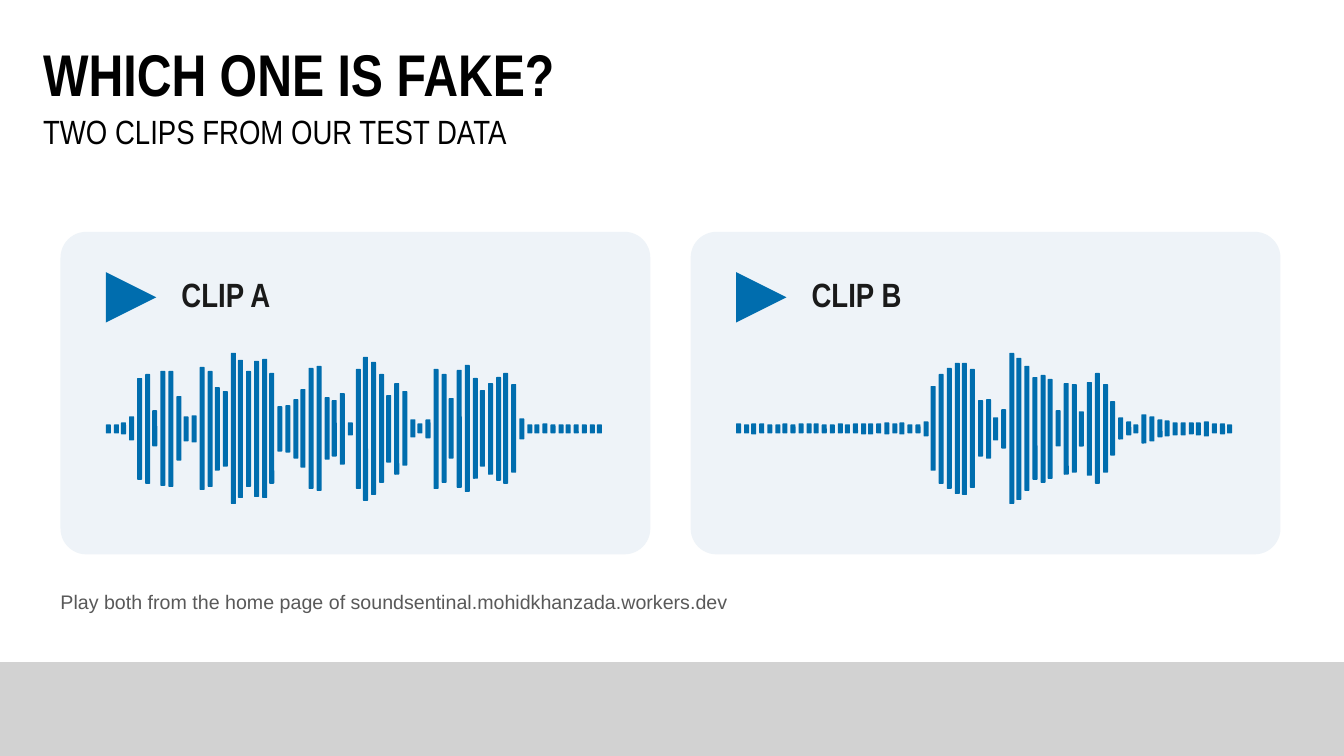
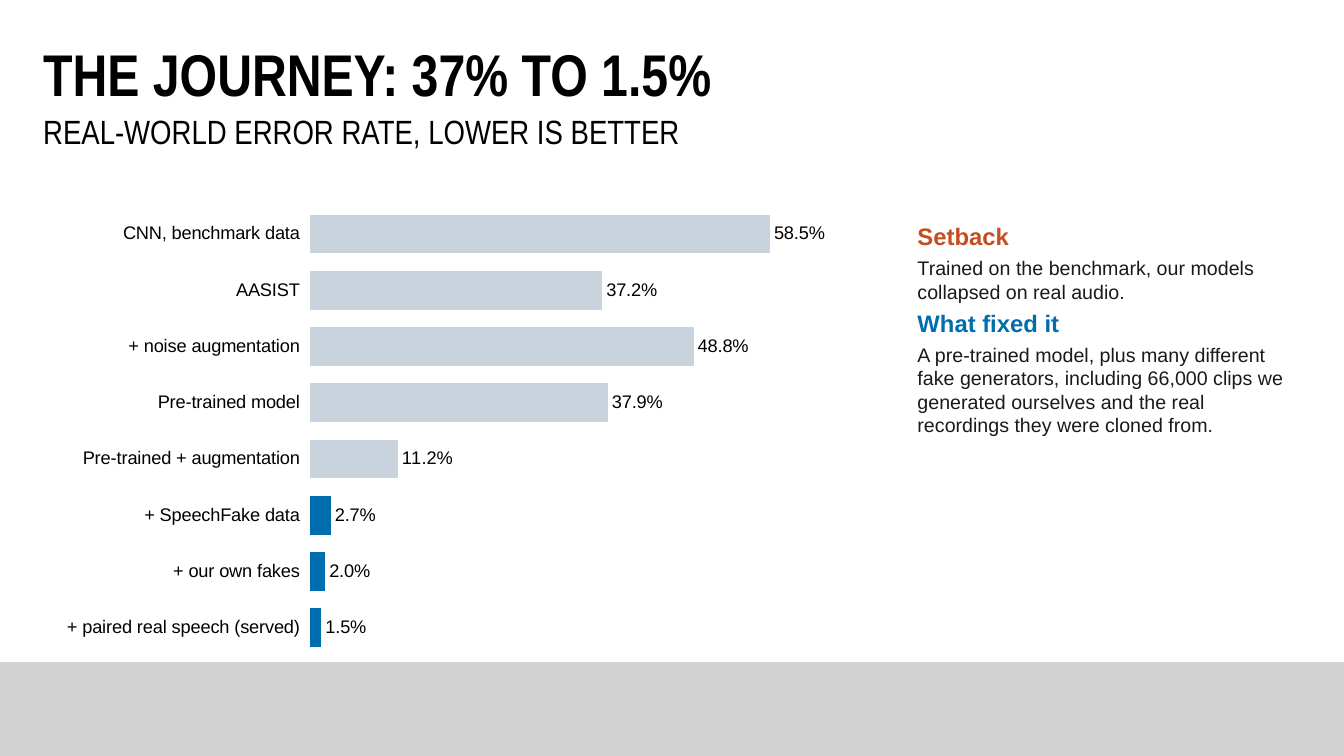
from dataclasses import dataclass

from pptx import Presentation
from pptx.chart.data import CategoryChartData
from pptx.dml.color import RGBColor
from pptx.enum.chart import XL_CHART_TYPE, XL_LABEL_POSITION, XL_TICK_MARK
from pptx.enum.shapes import MSO_SHAPE
from pptx.enum.text import MSO_ANCHOR
from pptx.util import Emu, Pt

RECT = MSO_SHAPE.RECTANGLE
ROUND = MSO_SHAPE.ROUNDED_RECTANGLE
TRIANGLE = MSO_SHAPE.ISOSCELES_TRIANGLE
BAR_CLUSTERED = XL_CHART_TYPE.BAR_CLUSTERED
OUTSIDE_END = XL_LABEL_POSITION.OUTSIDE_END
TICK_OUT = XL_TICK_MARK.OUTSIDE
TOP, MIDDLE = MSO_ANCHOR.TOP, MSO_ANCHOR.MIDDLE

# Shared look: 100 px to the inch
EMU_PER_PX = 9144
SLIDE_W, SLIDE_H = 1333, 750
SANS, NARROW = "Arial", "Arial Narrow"
BLACK, INK, GREY = "000000", "1A1A1A", "595959"
BLUE, ORANGE = "006DAE", "C44E1F"
BAND, CARD, MUTED = "D2D2D2", "EEF3F8", "C8D3DE"


@dataclass(frozen=True)
class Line:
    text: str
    size: int
    color: str
    bold: bool = False
    font: str = SANS
    after: int = 4
    spacing: float = 1.0


@dataclass(frozen=True)
class Clip:
    name: str
    x: int
    heights: tuple[int, ...]


@dataclass(frozen=True)
class Step:
    name: str
    error: float
    color: str = MUTED


CLIPS = (
    Clip("CLIP A", 60, (
        9, 9, 12, 24, 101, 109, 36, 114, 115, 64, 25, 27, 122, 115, 83, 75,
        150, 137, 115, 135, 138, 110, 45, 47, 59, 78, 120, 124, 62, 56, 71, 13,
        119, 143, 132, 108, 67, 91, 74, 18, 10, 19, 119, 108, 60, 117, 126, 100,
        76, 91, 103, 110, 88, 21, 9, 9, 10, 9, 9, 9, 9, 9, 9, 9)),
    Clip("CLIP B", 685, (
        10, 9, 11, 10, 9, 9, 10, 9, 10, 10, 10, 9, 9, 10, 9, 10,
        11, 11, 10, 12, 10, 12, 9, 9, 15, 84, 109, 120, 130, 131, 118, 56,
        59, 23, 39, 150, 141, 124, 102, 107, 99, 36, 91, 88, 35, 93, 110, 88,
        54, 22, 14, 9, 29, 25, 18, 16, 13, 13, 12, 13, 15, 10, 11, 9)),
)

# Bottom to top
STEPS = (
    Step("+ paired real speech (served)", 1.5, BLUE),
    Step("+ our own fakes", 2.0, BLUE),
    Step("+ SpeechFake data", 2.7, BLUE),
    Step("Pre-trained + augmentation", 11.2),
    Step("Pre-trained model", 37.9),
    Step("+ noise augmentation", 48.8),
    Step("AASIST", 37.2),
    Step("CNN, benchmark data", 58.5),
)

FINDINGS = (
    Line("Setback", 17, ORANGE, True),
    Line("Trained on the benchmark, our models collapsed on real audio.", 14, INK),
    Line("What fixed it", 17, BLUE, True),
    Line("A pre-trained model, plus many different fake generators, including "
         "66,000 clips we generated ourselves and the real recordings they "
         "were cloned from.", 14, INK),
)


def px(n: int) -> Emu:
    return Emu(n * EMU_PER_PX)


def rgb(color: str) -> RGBColor:
    return RGBColor.from_string(color)


def add_block(s, kind, x: int, y: int, w: int, h: int, color: str):
    sp = s.shapes.add_shape(kind, px(x), px(y), px(w), px(h))
    sp.shadow.inherit = False
    sp.fill.solid()
    sp.fill.fore_color.rgb = rgb(color)
    sp.line.fill.background()
    return sp


def add_text(s, x: int, y: int, w: int, h: int, *lines: Line,
             inset: tuple[int, int] = (0, 0), anchor=TOP) -> None:
    tf = s.shapes.add_textbox(px(x), px(y), px(w), px(h)).text_frame
    tf.word_wrap = True
    tf.vertical_anchor = anchor
    tf.margin_left = tf.margin_right = px(inset[0])
    tf.margin_top = tf.margin_bottom = px(inset[1])
    for i, line in enumerate(lines):
        p = tf.add_paragraph() if i else tf.paragraphs[0]
        p.text = line.text
        p.space_after = Pt(line.after)
        p.line_spacing = line.spacing
        p.font.name = line.font
        p.font.size = Pt(line.size)
        p.font.bold = line.bold
        p.font.color.rgb = rgb(line.color)


def add_slide(prs, title: str, subtitle: str):
    s = prs.slides.add_slide(prs.slide_layouts[6])
    add_block(s, RECT, 0, 657, SLIDE_W, SLIDE_H - 657, BAND)
    for y, h, text, size, bold in ((36, 81, title, 42, True),
                                   (107, 51, subtitle, 24, False)):
        add_text(s, 33, y, 815, h, Line(text, size, BLACK, bold, NARROW, 0, 0.9),
                 inset=(10, 5), anchor=MIDDLE)
    return s


def add_clip(s, clip: Clip) -> None:
    card = add_block(s, ROUND, clip.x, 230, 585, 320, CARD)
    card.adjustments[0] = 0.08
    left = clip.x + 45
    play = add_block(s, TRIANGLE, left, 270, 50, 50, BLUE)
    play.rotation = 90
    add_text(s, left + 75, 272, 400, 50, Line(clip.name, 24, INK, True, NARROW))
    # Waveform, centred on one axis
    wave_w, axis_y = 495, 425
    for i, h in enumerate(clip.heights):
        x = left + round(i * wave_w / len(clip.heights))
        add_block(s, ROUND, x, axis_y - h // 2, 5, h, BLUE)


def add_error_chart(s, steps: tuple[Step, ...]) -> None:
    data = CategoryChartData()
    data.categories = [step.name for step in steps]
    data.add_series("Error rate", [step.error for step in steps])
    chart = s.shapes.add_chart(BAR_CLUSTERED, px(50), px(195), px(820), px(465),
                               data).chart
    chart.has_title = False
    chart.has_legend = False
    chart.font.name = SANS
    chart.font.size = Pt(13)
    chart.font.color.rgb = rgb(BLACK)

    # Axes
    cat, val = chart.category_axis, chart.value_axis
    cat.major_tick_mark = TICK_OUT
    cat.format.line.fill.background()
    val.minimum_scale, val.maximum_scale = 0, 70
    val.has_major_gridlines = False
    val.visible = False

    # Bars and labels
    plot = chart.plots[0]
    plot.gap_width = 45
    plot.vary_by_categories = False
    plot.has_data_labels = True
    labels = plot.data_labels
    labels.show_value = True
    labels.position = OUTSIDE_END
    labels.number_format = '0.0"%"'
    labels.number_format_is_linked = False
    labels.font.size = Pt(13)
    series = plot.series[0]
    series.format.fill.solid()
    series.format.fill.fore_color.rgb = rgb(MUTED)
    for i, step in enumerate(steps):
        if step.color != MUTED:
            fill = series.points[i].format.fill
            fill.solid()
            fill.fore_color.rgb = rgb(step.color)


def main() -> None:
    prs = Presentation()
    prs.slide_width, prs.slide_height = px(SLIDE_W), px(SLIDE_H)

    # Slide 1: two clips
    s = add_slide(prs, "WHICH ONE IS FAKE?", "TWO CLIPS FROM OUR TEST DATA")
    for clip in CLIPS:
        add_clip(s, clip)
    add_text(s, 60, 585, 1210, 50, Line(
        "Play both from the home page of soundsentinal.mohidkhanzada.workers.dev",
        14, GREY))

    # Slide 2: error rates
    s = add_slide(prs, "THE JOURNEY: 37% TO 1.5%",
                  "REAL-WORLD ERROR RATE, LOWER IS BETTER")
    add_error_chart(s, STEPS)
    add_text(s, 910, 220, 380, 440, *FINDINGS)

    prs.save("out.pptx")


if __name__ == "__main__":
    main()
